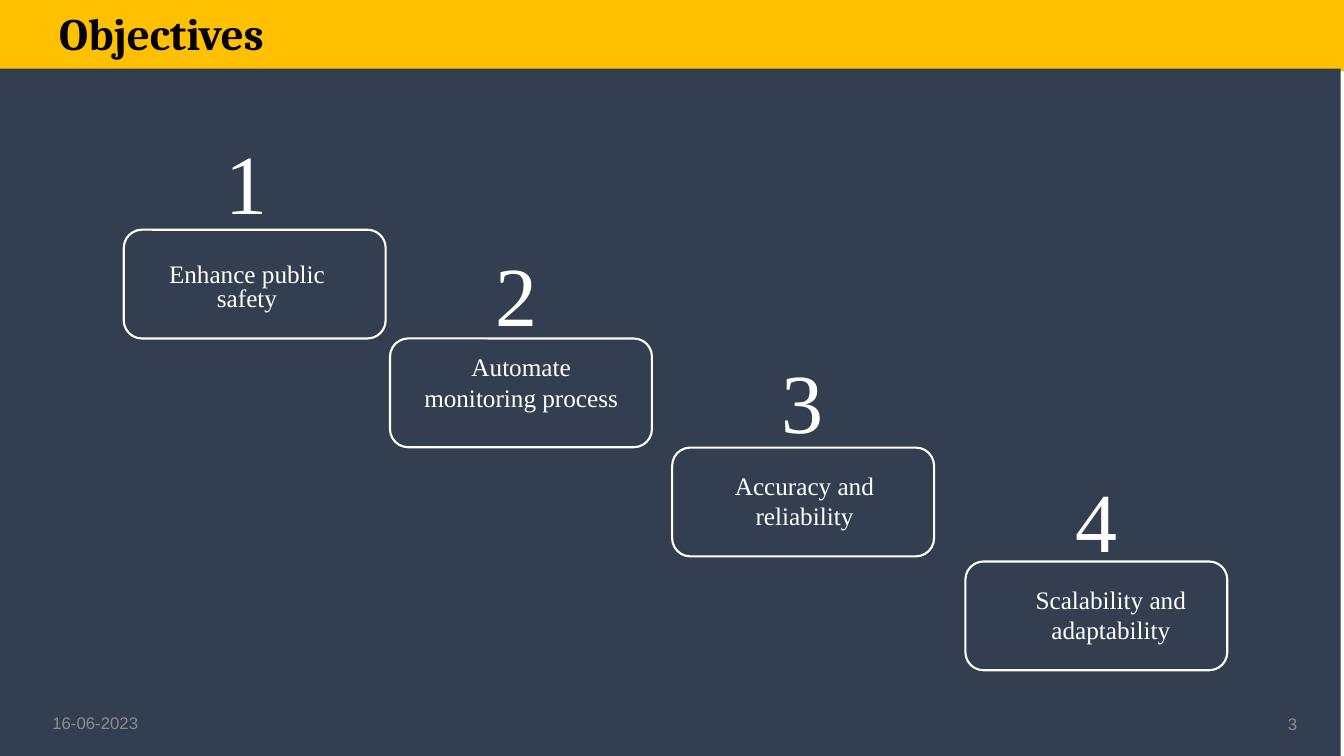
from pptx import Presentation
from pptx.dml.color import RGBColor
from pptx.enum import shapes, text
from pptx.util import Cm, Pt

WHITE, GREY, GOLD, NAVY = "FFFFFF", "8C8C8C", "FFC000", "333F50"
SERIF = "Times New Roman"
LEFT, MID, RIGHT = text.PP_ALIGN.LEFT, text.PP_ALIGN.CENTER, text.PP_ALIGN.RIGHT


def tint(code):
    return RGBColor.from_string(code)


class Deck:
    """Holds the shared style and the slide being built."""

    def __init__(self):
        self.file = Presentation()
        self.file.slide_width, self.file.slide_height = Cm(33.87), Cm(19.05)
        self.slide = self.file.slides.add_slide(self.file.slide_layouts[6])

    def shape(self, kind, area):
        item = self.slide.shapes.add_shape(kind, *map(Cm, area))
        item.shadow.inherit = False
        return item

    def band(self, area, color):
        item = self.shape(shapes.MSO_SHAPE.RECTANGLE, area)
        item.fill.solid()
        item.fill.fore_color.rgb = tint(color)
        item.line.fill.background()

    def card(self, area):
        item = self.shape(shapes.MSO_SHAPE.ROUNDED_RECTANGLE, area)
        item.fill.background()
        item.line.color.rgb = tint(WHITE)
        item.line.width = Pt(1.5)

    def label(self, area, words, size, font=SERIF, color=WHITE, align=MID,
              middle=False, bold=False, lead=None, before=None):
        frame = self.slide.shapes.add_textbox(*map(Cm, area)).text_frame
        frame.word_wrap = True
        anchor = text.MSO_ANCHOR
        frame.vertical_anchor = anchor.MIDDLE if middle else anchor.TOP
        para = frame.paragraphs[0]
        para.text = words
        para.alignment = align
        if lead:
            para.line_spacing = lead
        if before:
            para.space_before = Pt(before)
        style = para.runs[0].font
        style.name, style.size, style.bold = font, Pt(size), bold
        style.color.rgb = tint(color)


def main():
    deck = Deck()
    deck.band((0, 0, 33.87, 1.8), GOLD)
    deck.band((-0.08, 1.73, 33.87, 17.6), NAVY)
    deck.label((1.24, 0, 27.97, 1.8), "Objectives", 32, "Cambria", "000000",
               LEFT, middle=True, bold=True, lead=0.9)
    goals = [
        ("Enhance public safety", (3.12, 5.79), (3.33, 3.45),
         (3.33, 6.53, 5.79, 1.6), {"lead": 0.8, "before": 10}),
        ("Automate monitoring process", (9.83, 8.53), (10.11, 6.27),
         (10.34, 8.74, 5.59, 2.57), {}),
        ("Accuracy and reliability", (16.94, 11.28), (17.32, 8.97),
         (18.08, 11.73, 4.39, 2.57), {}),
        ("Scalability and adaptability", (24.33, 14.15), (24.74, 11.96),
         (25.1, 14.6, 5.79, 2.57), {}),
    ]
    for num, (words, card, digit, area, extra) in enumerate(goals, 1):
        deck.card((*card, 6.6, 2.74))
        deck.label(area, words, 18, **extra)
        deck.label((*digit, 5.79, 1.6), str(num), 60, lead=0.9, before=10)
    for area, words, align in [
        ((1.07, 17.7, 7.62, 1.02), "16-06-2023", LEFT),
        ((25.32, 17.73, 7.62, 1.02), "3", RIGHT),
    ]:
        deck.label(area, words, 12, "Arial", GREY, align, middle=True)
    deck.file.save("out.pptx")


if __name__ == "__main__":
    main()
